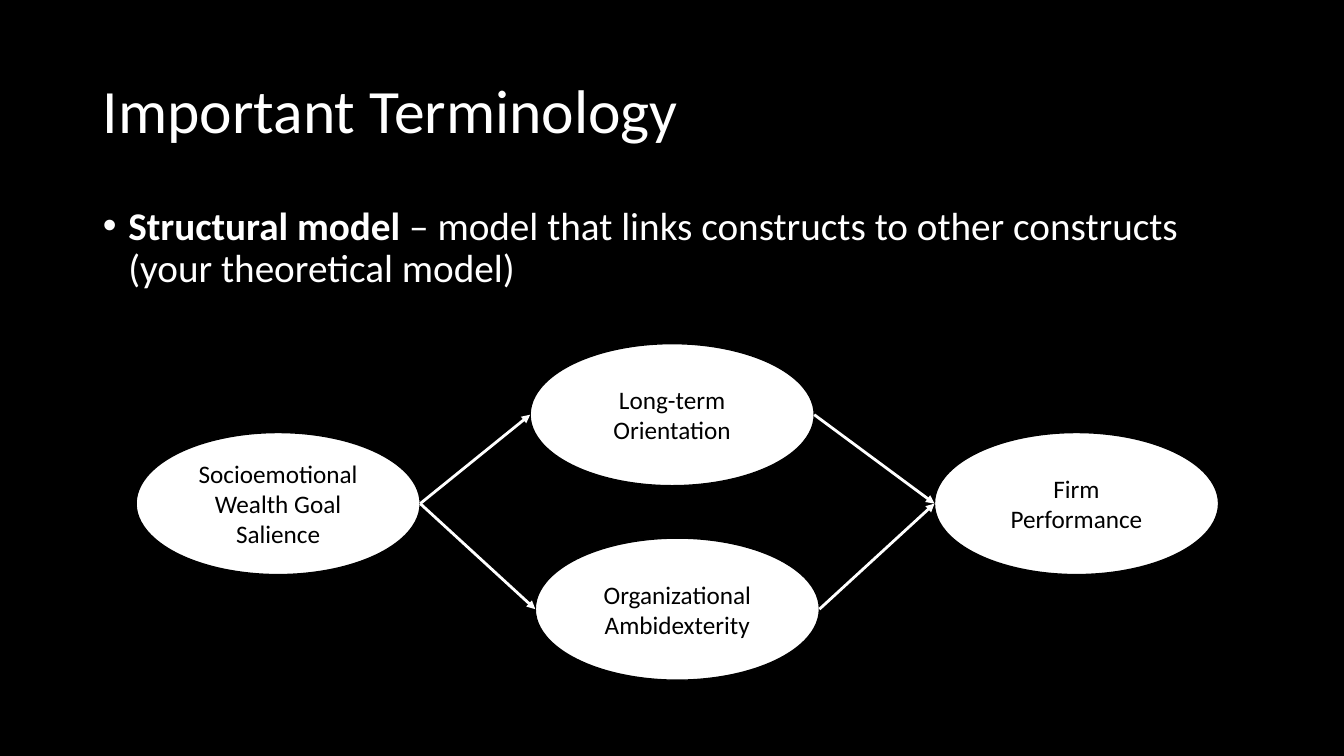
"""Build the slide that explains the structural model."""
from pptx import Presentation
from pptx.dml.color import RGBColor
from pptx.enum import shapes, text
from pptx.oxml.ns import qn
from pptx.util import Cm, Pt
from lxml import etree

TITLE = [("Important Terminology", False)]
DEFINITION = [
    ("Structural model", True),
    (" – model that links constructs to other constructs (your theoretical model)", False),
]
CONSTRUCTS = {
    "salience": ("Socioemotional Wealth Goal Salience", 3.43, 10.9),
    "orientation": ("Long-term Orientation", 13.36, 8.66),
    "ambidexterity": ("Organizational Ambidexterity", 13.49, 13.56),
    "performance": ("Firm Performance", 23.55, 10.9),
}
PATHS = [
    ("salience", "orientation"),
    ("salience", "ambidexterity"),
    ("ambidexterity", "performance"),
    ("orientation", "performance"),
]
OVAL_W, OVAL_H = 7.16, 3.58
MARGIN, CONTENT_W = 2.34, 29.21


class Theme:
    font = "Calibri"
    dark = RGBColor(0, 0, 0)
    light = RGBColor(255, 255, 255)
    title, body, label = Pt(44), Pt(28), Pt(18)
    outline, arrow = Pt(1), Pt(2)


def write(sp, runs, size, color, align, anchor, spacing=1.0, before=0):
    tf = sp.text_frame
    tf.word_wrap = True
    tf.vertical_anchor = anchor
    p = tf.paragraphs[0]
    p.alignment, p.line_spacing, p.space_before = align, spacing, Pt(before)
    for words, bold in runs:
        r = p.add_run()
        r.text = words
        r.font.name, r.font.size, r.font.bold = Theme.font, size, bold
        r.font.color.rgb = color
    return p


def place(sp, top, height):
    sp.left, sp.top, sp.width, sp.height = Cm(MARGIN), Cm(top), Cm(CONTENT_W), Cm(height)


def add_construct(s, label, left, top):
    sp = s.shapes.add_shape(
        shapes.MSO_SHAPE.OVAL, Cm(left), Cm(top), Cm(OVAL_W), Cm(OVAL_H))
    sp.shadow.inherit = False
    sp.fill.solid()
    sp.fill.fore_color.rgb = Theme.light
    sp.line.color.rgb = Theme.dark
    sp.line.width = Theme.outline
    write(sp, [(label, False)], Theme.label, Theme.dark,
          text.PP_ALIGN.CENTER, text.MSO_ANCHOR.MIDDLE)
    return sp


def add_path(s, start, end):
    line = s.shapes.add_connector(
        shapes.MSO_CONNECTOR.STRAIGHT,
        start.left + start.width, start.top + start.height // 2,
        end.left, end.top + end.height // 2)
    line.line.color.rgb = Theme.light
    line.line.width = Theme.arrow
    etree.SubElement(line.line._get_or_add_ln(), qn("a:tailEnd"), type="triangle")
    etree.SubElement(line._element.spPr, qn("a:effectLst"))


def main():
    prs = Presentation()
    prs.slide_width, prs.slide_height = Cm(33.87), Cm(19.05)
    s = prs.slides.add_slide(prs.slide_layouts[1])
    s.background.fill.solid()
    s.background.fill.fore_color.rgb = Theme.dark

    title, body = s.placeholders
    place(title, 1.02, 3.68)
    write(title, TITLE, Theme.title, Theme.light,
          text.PP_ALIGN.LEFT, text.MSO_ANCHOR.MIDDLE, spacing=0.9)
    place(body, 5.08, 12.09)
    p = write(body, DEFINITION, Theme.body, Theme.light,
              text.PP_ALIGN.LEFT, text.MSO_ANCHOR.TOP, spacing=0.9, before=10)
    pPr = p._p.get_or_add_pPr()
    pPr.set("marL", str(Cm(0.64)))
    pPr.set("indent", str(Cm(-0.64)))
    etree.SubElement(pPr, qn("a:buFont"), typeface="Arial")
    etree.SubElement(pPr, qn("a:buChar"), char="•")

    ovals = {key: add_construct(s, *item) for key, item in CONSTRUCTS.items()}
    for start, end in PATHS:
        add_path(s, ovals[start], ovals[end])
    prs.save("out.pptx")


if __name__ == "__main__":
    main()
